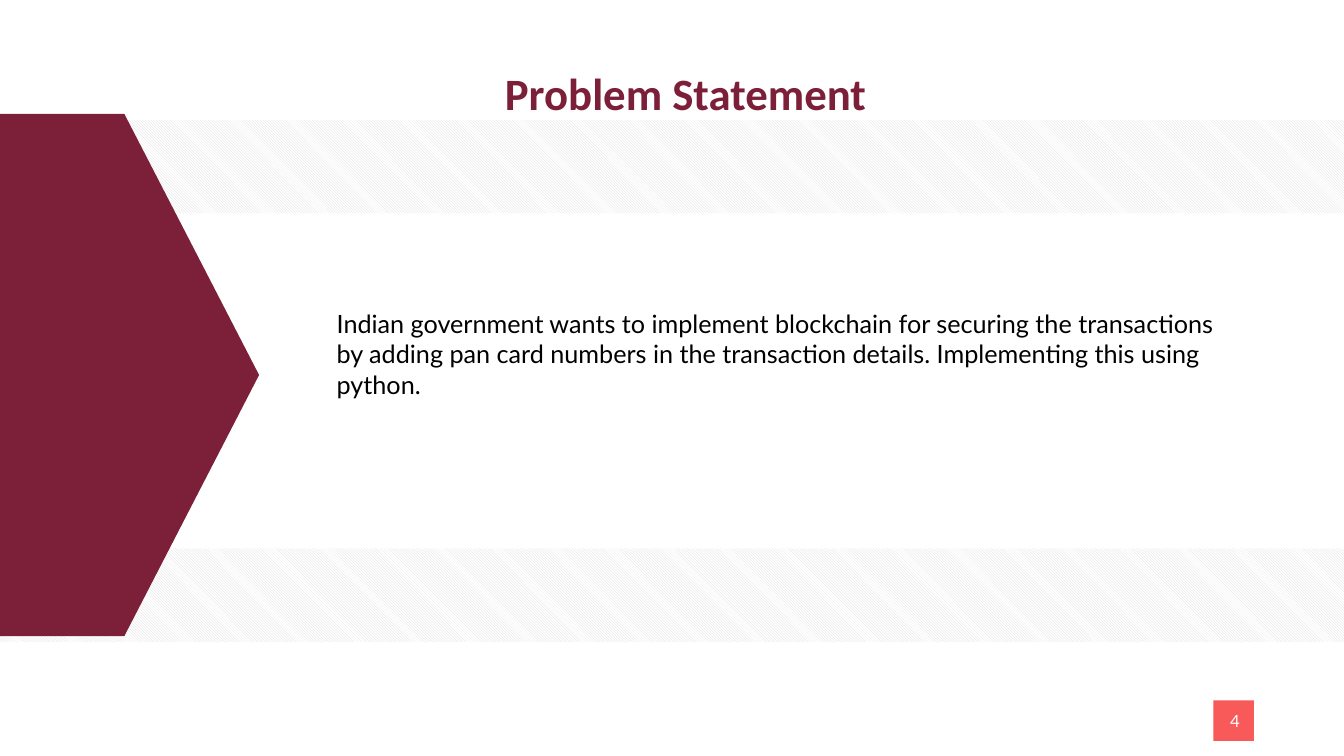
"""Build the problem statement slide with a pentagon and two hatched bands."""
import dataclasses

import pptx
import pptx.dml.color
import pptx.enum.dml
import pptx.enum.shapes
import pptx.enum.text
import pptx.oxml
import pptx.oxml.ns
import pptx.util

Cm = pptx.util.Cm
Color = pptx.dml.color.RGBColor.from_string
SHAPES = pptx.enum.shapes.MSO_SHAPE
ALIGN = pptx.enum.text.PP_ALIGN
ANCHOR = pptx.enum.text.MSO_ANCHOR
SLIDE_WIDTH, SLIDE_HEIGHT = 33.87, 19.05


@dataclasses.dataclass(frozen=True)
class Theme:
    maroon: str = "7C203A"
    coral: str = "F85959"
    hatch: str = "D9D9D9"
    white: str = "FFFFFF"
    black: str = "000000"
    title_font: str = "Calibri"
    text_font: str = "Lato"
    title_size: int = 32
    body_size: int = 18
    number_size: int = 12


THEME = Theme()


def apply(target, values):
    for name, value in values.items():
        setattr(target, name, value)


def place(shape, left, top, width, height):
    box = {"left": left, "top": top, "width": width, "height": height}
    apply(shape, {name: Cm(length) for name, length in box.items()})


def write(shape, text, font, size, color, align, frame_format, bold=False):
    frame = shape.text_frame
    apply(frame, {"word_wrap": True, "auto_size": pptx.enum.text.MSO_AUTO_SIZE.NONE})
    apply(frame, frame_format)
    paragraph = frame.paragraphs[0]
    apply(paragraph, {"alignment": align, "space_before": pptx.util.Pt(0)})
    run = paragraph.add_run()
    run.text = text
    apply(run.font, {"name": font, "size": pptx.util.Pt(size), "bold": bold})
    run.font.color.rgb = Color(color)
    return paragraph


def remove_bullet(paragraph):
    properties = paragraph._p.get_or_add_pPr()
    properties.set("marL", "0")
    properties.set("indent", "0")
    properties.append(pptx.oxml.parse_xml(f'<a:buNone {pptx.oxml.ns.nsdecls("a")}/>'))


def add_plain_shape(slide, kind, left, top, width, height):
    shape = slide.shapes.add_shape(kind, Cm(left), Cm(top), Cm(width), Cm(height))
    shape.shadow.inherit = False
    shape.line.fill.background()
    return shape


def add_solid(slide, kind, box, color):
    shape = add_plain_shape(slide, kind, *box)
    shape.fill.solid()
    shape.fill.fore_color.rgb = Color(color)
    return shape


def add_hatched_band(slide, top):
    band = add_plain_shape(slide, SHAPES.RECTANGLE, 0, top, SLIDE_WIDTH, 2.36)
    band.fill.patterned()
    band.fill.pattern = pptx.enum.dml.MSO_PATTERN.LIGHT_DOWNWARD_DIAGONAL
    band.fill.fore_color.rgb = Color(THEME.hatch)
    band.fill.back_color.rgb = Color(THEME.white)


def add_title(slide, text):
    title = slide.shapes.title
    place(title, 6.88, 1.65, 20.8, 1.37)
    margins = {f"margin_{side}": 0 for side in ("left", "top", "right", "bottom")}
    write(title, text, THEME.title_font, THEME.title_size, THEME.maroon,
          ALIGN.CENTER, {**margins, "vertical_anchor": ANCHOR.TOP}, bold=True)


def add_body(slide, text):
    body = slide.placeholders[1]
    place(body, 8.23, 6.88, 23.19, 4.11)
    paragraph = write(body, text, THEME.text_font, THEME.body_size, THEME.black,
                      ALIGN.LEFT, {"margin_top": Cm(0.89), "vertical_anchor": ANCHOR.TOP})
    remove_bullet(paragraph)


def add_page_number(slide, text):
    add_solid(slide, SHAPES.RECTANGLE, (30.58, 17.65, 1.02, 1.02), THEME.coral)
    box = slide.shapes.add_textbox(Cm(23.88), Cm(17.65), Cm(7.62), Cm(1.02))
    write(box, text, THEME.text_font, THEME.number_size, THEME.white,
          ALIGN.RIGHT, {"vertical_anchor": ANCHOR.MIDDLE})


def main():
    presentation = pptx.Presentation()
    apply(presentation, {"slide_width": Cm(SLIDE_WIDTH), "slide_height": Cm(SLIDE_HEIGHT)})
    slide = presentation.slides.add_slide(presentation.slide_layouts[1])
    add_title(slide, "Problem Statement")
    add_page_number(slide, "4")
    for top in (3.02, 13.82):
        add_hatched_band(slide, top)
    arrow = add_solid(slide, SHAPES.PENTAGON, (0, 2.87, 6.53, 13.16), THEME.maroon)
    arrow.adjustments[0] = 0.52
    add_body(slide, "Indian government wants to implement blockchain for securing the "
                    "transactions by adding pan card numbers in the transaction details. "
                    "Implementing this using python.")
    presentation.save("out.pptx")


if __name__ == "__main__":
    main()
